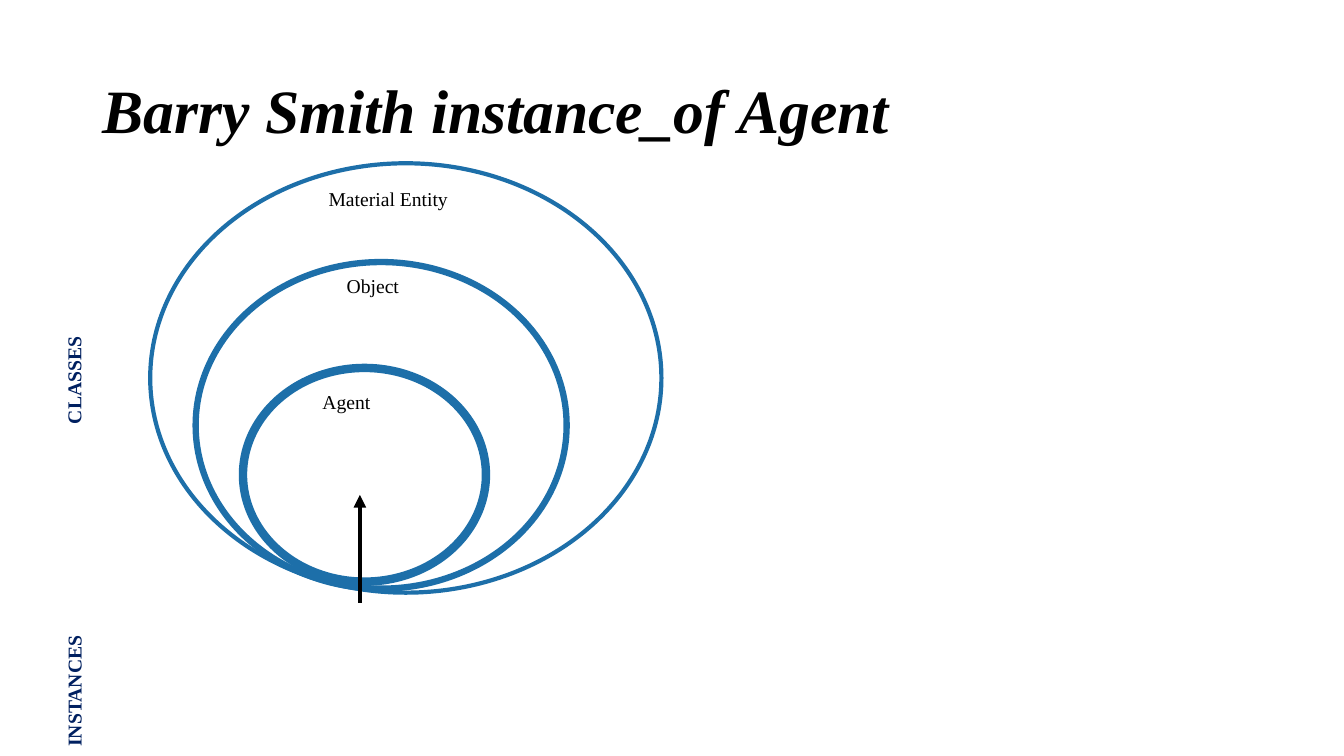
from lxml import etree
from pptx import Presentation
from pptx.dml.color import RGBColor
from pptx.enum.shapes import MSO_CONNECTOR, MSO_SHAPE
from pptx.enum.text import MSO_ANCHOR
from pptx.oxml.ns import qn
from pptx.util import Pt

EMU_PER_PX = 9144  # 100 px to the inch
ELLIPSE = MSO_SHAPE.OVAL
STRAIGHT = MSO_CONNECTOR.STRAIGHT
TOP, MIDDLE = MSO_ANCHOR.TOP, MSO_ANCHOR.MIDDLE


def px(value):
    return value * EMU_PER_PX


def color(hex_string):
    return RGBColor.from_string(hex_string)


class ClassDiagram:
    font_name = "Times New Roman"
    black, navy, blue = "000000", "002060", "1D6FA9"

    def __init__(self, slide):
        self.slide = slide

    def text(self, words, left, top, width, height, size=14, ink=black,
             bold=False, italic=False, rotation=0, anchor=TOP, spacing=1.0):
        box = self.slide.shapes.add_textbox(px(left), px(top), px(width), px(height))
        box.rotation = rotation
        frame = box.text_frame
        frame.word_wrap = True
        frame.vertical_anchor = anchor
        paragraph = frame.paragraphs[0]
        paragraph.text = words
        paragraph.line_spacing = spacing
        font = paragraph.font
        font.name, font.size = self.font_name, Pt(size)
        font.bold, font.italic = bold, italic
        font.color.rgb = color(ink)

    def ellipse(self, left, top, width, height, weight):
        shape = self.slide.shapes.add_shape(
            ELLIPSE, px(left), px(top), px(width), px(height))
        shape.shadow.inherit = False
        shape.fill.background()
        shape.line.color.rgb = color(self.blue)
        shape.line.width = Pt(weight)

    def arrow(self, start_x, start_y, end_x, end_y, weight):
        connector = self.slide.shapes.add_connector(
            STRAIGHT, px(start_x), px(start_y), px(end_x), px(end_y))
        connector.line.color.rgb = color(self.black)
        connector.line.width = Pt(weight)
        properties = connector.line._get_or_add_ln()
        etree.SubElement(properties, qn("a:tailEnd"), type="triangle")
        etree.SubElement(connector._element.spPr, qn("a:effectLst"))


def main():
    presentation = Presentation()
    presentation.slide_width, presentation.slide_height = px(1333), px(750)
    slide = presentation.slides.add_slide(presentation.slide_layouts[6])
    diagram = ClassDiagram(slide)

    # Title
    diagram.text("Barry Smith instance_of Agent", 92, 40, 1150, 145, size=44,
                 bold=True, italic=True, anchor=MIDDLE, spacing=0.9)

    # Level names along the left edge
    for level, left, top, width in (("CLASSES", -50, 284, 253),
                                    ("INSTANCES", -54, 600, 261)):
        diagram.text(level, left, top, width, 40, ink=diagram.navy,
                     bold=True, rotation=270)

    # Nested classes, outermost first: ellipse, line weight, label box
    nested_classes = (
        ("Material Entity", (149, 162, 507, 426), 3, (316, 181, 172, 40)),
        ("Object", (194, 260, 368, 324), 4.5, (334, 267, 87, 40)),
        ("Agent", (241, 365, 241, 212), 6, (310, 382, 80, 40)),
    )
    for name, outline, weight, label in nested_classes:
        diagram.ellipse(*outline, weight)
        diagram.text(name, *label)

    # Arrow from the instance into its class
    diagram.arrow(357, 598, 357, 491, 3)

    presentation.save("out.pptx")


if __name__ == "__main__":
    main()
